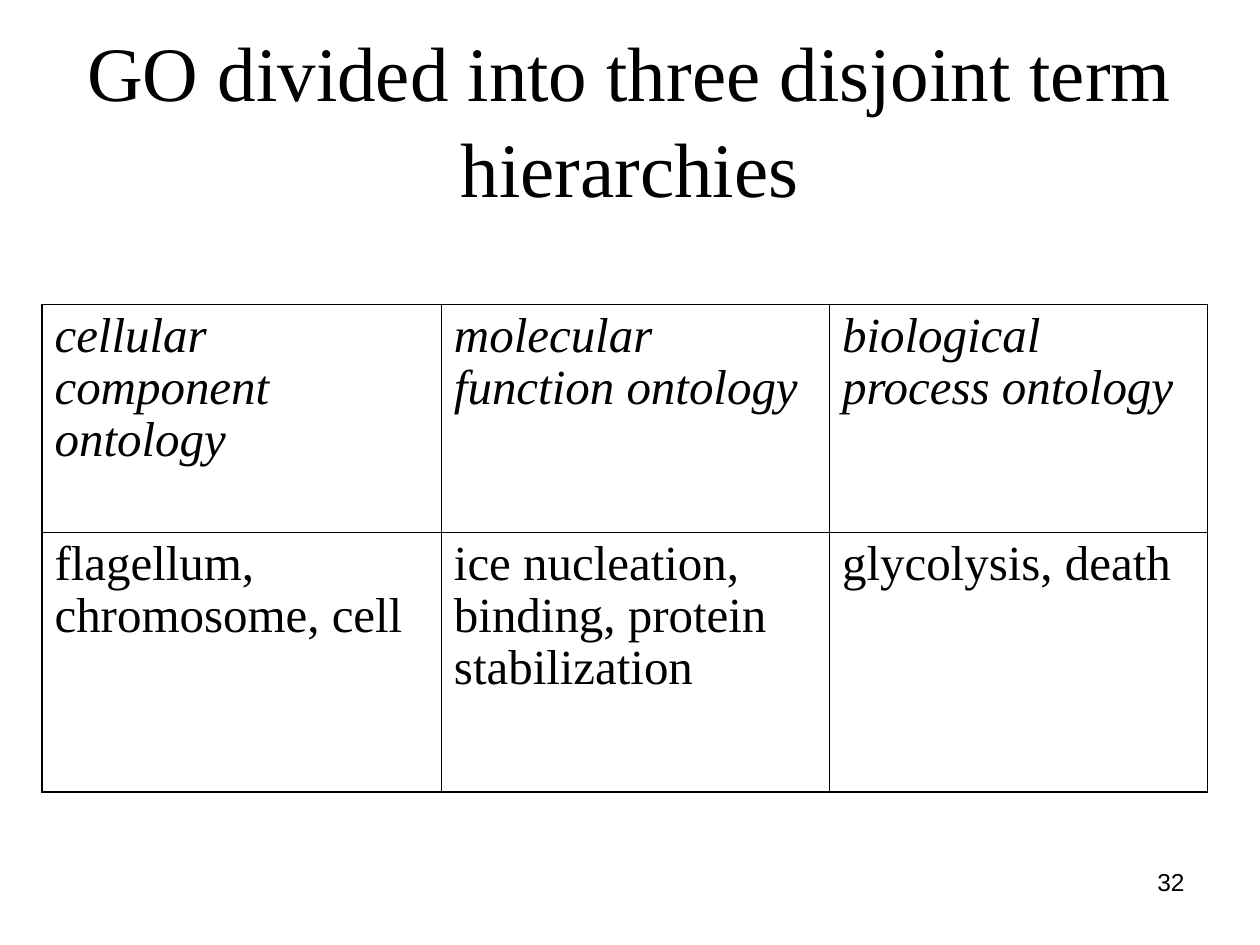
from pptx import Presentation
from pptx.dml.color import RGBColor
from pptx.enum.text import MSO_ANCHOR, PP_ALIGN
from pptx.oxml import parse_xml
from pptx.oxml.ns import nsdecls
from pptx.util import Pt

COLORS = {"text": "000000", "border": "000000", "cell": "FFFFFF"}
SERIF, SANS = "Times New Roman", "Arial"
OUTER_WIDTH, INNER_WIDTH = 1.08, 0.45


def write_text(text_frame, text, font_name, size, align, line_spacing=1.0, italic=False):
    text_frame.word_wrap = True
    paragraph = text_frame.paragraphs[0]
    paragraph.alignment = align
    paragraph.line_spacing = line_spacing
    run = paragraph.add_run()
    run.text = text
    run.font.name = font_name
    run.font.size = Pt(size)
    run.font.italic = italic
    run.font.color.rgb = RGBColor.from_string(COLORS["text"])


def add_border(cell, side, width):
    """Add a cell border; side is L, R, T or B, and they must come in that order."""
    cell._tc.get_or_add_tcPr().append(parse_xml(
        f'<a:ln{side} {nsdecls("a")} w="{Pt(width)}"><a:solidFill>'
        f'<a:srgbClr val="{COLORS["border"]}"/></a:solidFill></a:ln{side}>'))


presentation = Presentation()
presentation.slide_width = Pt(720)
presentation.slide_height = Pt(540)
slide = presentation.slides.add_slide(presentation.slide_layouts[6])

title = slide.shapes.add_textbox(Pt(36), Pt(21.6), Pt(648), Pt(90))
title.text_frame.vertical_anchor = MSO_ANCHOR.MIDDLE
write_text(title.text_frame, "GO divided into three disjoint term hierarchies",
           SERIF, 44, PP_ALIGN.CENTER, 1.04)

rows = [
    ["cellular component ontology", "molecular function ontology",
     "biological process ontology"],
    ["flagellum, chromosome, cell", "ice nucleation, binding, protein stabilization",
     "glycolysis, death"],
]
column_widths = [228.24, 221.76, 216]
row_heights = [130.32, 148.32]

table = slide.shapes.add_table(len(rows), len(column_widths), Pt(24), Pt(174),
                               Pt(sum(column_widths)), Pt(sum(row_heights))).table
table.first_row = False
table.horz_banding = False
for column, width in zip(table.columns, column_widths):
    column.width = Pt(width)
for row, height in zip(table.rows, row_heights):
    row.height = Pt(height)

last_row, last_column = len(rows) - 1, len(column_widths) - 1
for row_index, texts in enumerate(rows):
    for column_index, text in enumerate(texts):
        cell = table.cell(row_index, column_index)
        write_text(cell.text_frame, text, SERIF, 28, PP_ALIGN.LEFT, 0.96,
                   italic=row_index == 0)
        outer_sides = {"L": column_index == 0, "R": column_index == last_column,
                       "T": row_index == 0, "B": row_index == last_row}
        for side, is_outer in outer_sides.items():
            add_border(cell, side, OUTER_WIDTH if is_outer else INNER_WIDTH)
        cell.fill.solid()
        cell.fill.fore_color.rgb = RGBColor.from_string(COLORS["cell"])

page_number = slide.shapes.add_textbox(Pt(516), Pt(492), Pt(168), Pt(37.5))
write_text(page_number.text_frame, "32", SANS, 14, PP_ALIGN.RIGHT)

presentation.save("out.pptx")
